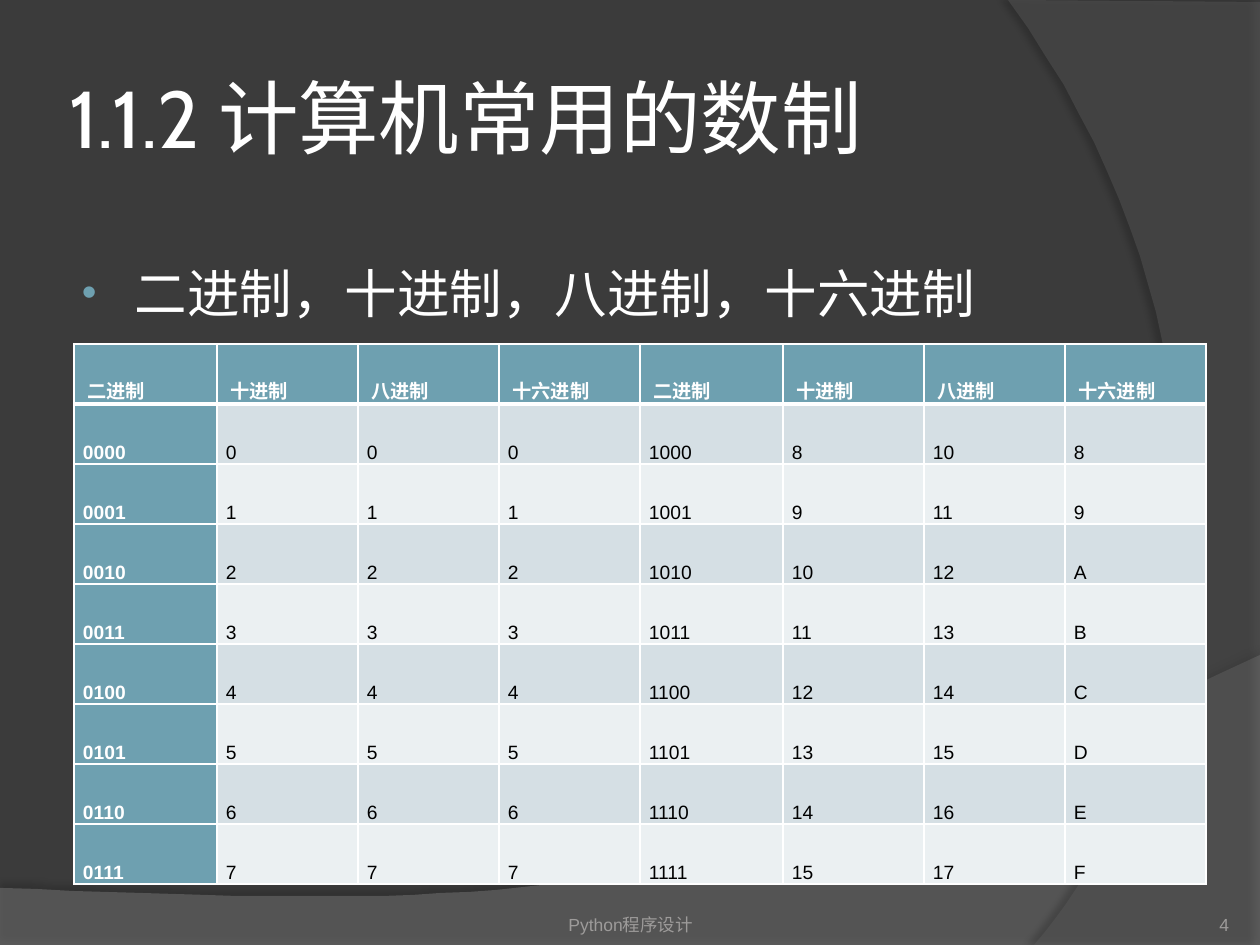
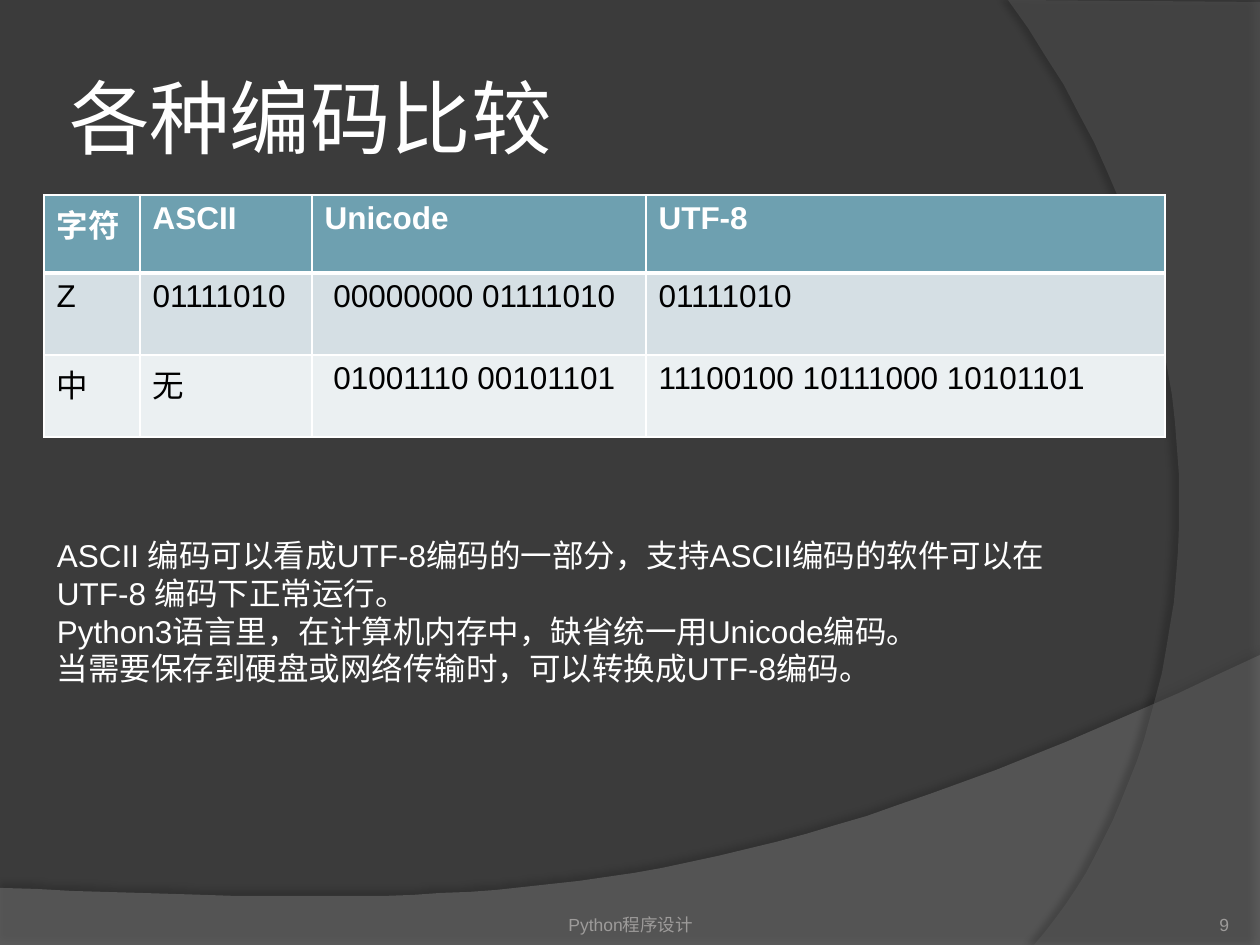
"""Build two slides on number systems and character encodings."""
import pptx
import pptx.dml.color
import pptx.enum.text
import pptx.oxml
import pptx.oxml.ns
import pptx.util

EMU_PER_PX = 914400 / 126
COLORS = {
    "background": "3B3B3B", "lower band": "7F7F7F", "side band": "5E5E5E",
    "shadow": "000000", "white": "FFFFFF", "black": "000000",
    "accent": "6EA0B0", "odd row": "D5DFE4", "even row": "EBF0F2",
    "footer": "9D9B9A",
}
ALIGN = pptx.enum.text.PP_ALIGN
ANCHOR = pptx.enum.text.MSO_ANCHOR
NAMESPACE = pptx.oxml.ns.nsdecls("a")


def emu(px):
    """Turn pixels into EMU."""
    return pptx.util.Emu(round(px * EMU_PER_PX))


def rgb(name):
    """Look up a named colour."""
    return pptx.dml.color.RGBColor.from_string(COLORS[name])


def add_xml(parent, xml):
    """Append a fragment of drawing XML to an element."""
    parent.append(pptx.oxml.parse_xml(xml))


def place(shape, left, top, width, height):
    """Move and size a shape."""
    shape.left, shape.top = emu(left), emu(top)
    shape.width, shape.height = emu(width), emu(height)


def set_margins(target, left, top, right, bottom):
    """Set the inner margins of a text frame or table cell."""
    target.margin_left, target.margin_top = emu(left), emu(top)
    target.margin_right, target.margin_bottom = emu(right), emu(bottom)


def format_text(frame, size, color, font="Arial", bold=False, align=ALIGN.LEFT):
    """Format every run of a text frame."""
    for para in frame.paragraphs:
        para.alignment = align
        for span in para.runs:
            span.font.size = pptx.util.Pt(size)
            span.font.name = font
            span.font.bold = bold
            span.font.color.rgb = rgb(color)


def curve(start, first, second, end, steps=40):
    """Return points along a cubic curve, leaving out its start."""
    points = []
    for step in range(1, steps + 1):
        t = step / steps
        weights = ((1 - t) ** 3, 3 * t * (1 - t) ** 2, 3 * t * t * (1 - t), t ** 3)
        points.append(tuple(
            sum(weight * value for weight, value in zip(weights, axis))
            for axis in zip(start, first, second, end)))
    return points


def add_band(page, points, color, opacity, shadow):
    """Draw a translucent shadowed band behind the title."""
    builder = page.shapes.build_freeform(*points[0], scale=EMU_PER_PX)
    builder.add_line_segments(points[1:], close=True)
    band = builder.convert_to_shape()
    band.fill.solid()
    band.fill.fore_color.rgb = rgb(color)
    add_xml(band.fill.fore_color._xFill.srgbClr,
            f'<a:alpha {NAMESPACE} val="{opacity * 1000}"/>')
    band.line.fill.background()
    distance, direction, strength = shadow
    add_xml(band.element.spPr, f'''<a:effectLst {NAMESPACE}>
        <a:outerShdw blurRad="{pptx.util.Pt(4)}" dist="{pptx.util.Pt(distance)}"
            dir="{direction * 60000}" algn="ctr" rotWithShape="0">
        <a:srgbClr val="{COLORS['shadow']}"><a:alpha val="{strength * 1000}"/>
        </a:srgbClr></a:outerShdw></a:effectLst>''')
    page.shapes.title.element.addprevious(band.element)


def add_text(page, text, frame_px, size, color, margins=(13, 6, 13, 6),
             anchor=ANCHOR.TOP, align=ALIGN.LEFT):
    """Add a wrapping text box and return its frame."""
    box = page.shapes.add_textbox(*map(emu, frame_px))
    frame = box.text_frame
    frame.word_wrap = True
    frame.vertical_anchor = anchor
    set_margins(frame, *margins)
    frame.text = text
    format_text(frame, size, color, align=align)
    return frame


def add_bullet(page, text, frame_px):
    """Add a large bulleted line."""
    para = add_text(page, text, frame_px, 30, "white").paragraphs[0]
    para.space_before = pptx.util.Pt(6)
    properties = para._p.get_or_add_pPr()
    properties.set("marL", str(emu(58)))
    properties.set("indent", str(emu(-53)))
    for bullet in (
            f'<a:buClr {NAMESPACE}><a:srgbClr val="{COLORS["accent"]}"/></a:buClr>',
            f'<a:buSzPct {NAMESPACE} val="80000"/>',
            f'<a:buFont {NAMESPACE} typeface="Arial"/>',
            f'<a:buChar {NAMESPACE} char="•"/>'):
        add_xml(properties, bullet)


def add_borders(cell, row):
    """Draw white cell borders, thicker under the header row."""
    widths = {"L": 1, "R": 1, "T": 3 if row == 1 else 1, "B": 3 if row == 0 else 1}
    for side, width in widths.items():
        add_xml(cell._tc.get_or_add_tcPr(), f'''<a:ln{side} {NAMESPACE}
            w="{pptx.util.Pt(width)}"><a:solidFill>
            <a:srgbClr val="{COLORS['white']}"/></a:solidFill></a:ln{side}>''')


def add_grid(page, rows, left, top, widths, heights, size,
             header_column=False, compact=False):
    """Add a table with a header row and alternating row fills."""
    shape = page.shapes.add_table(
        len(rows), len(widths), emu(left), emu(top), emu(sum(widths)), emu(sum(heights)))
    table = shape.table
    table.first_col = header_column
    for column, width in zip(table.columns, widths):
        column.width = emu(width)
    for row, (values, height) in enumerate(zip(rows, heights)):
        table.rows[row].height = emu(height)
        for column, value in enumerate(values):
            cell = table.cell(row, column)
            header = row == 0 or (header_column and column == 0)
            cell.text = value
            format_text(cell.text_frame, size, "white" if header else "black", bold=header)
            add_borders(cell, row)
            cell.fill.solid()
            cell.fill.fore_color.rgb = rgb(
                "accent" if header else "odd row" if row % 2 else "even row")
            if compact:
                cell.vertical_anchor = ANCHOR.BOTTOM
                set_margins(cell, 9, 0, 9, 0)
                para = cell.text_frame.paragraphs[0]
                para.line_spacing = 1.07
                para.space_after = pptx.util.Pt(8)


def add_page(deck, title, number):
    """Add a slide with the shared bands, title and footer."""
    page = deck.slides.add_slide(deck.slide_layouts[5])
    lower_edge = curve((1260, 655), (704, 919), (493, 906), (0, 888))
    add_band(page, [(0, 888), (0, 946), (1260, 946), (1260, 655)] + lower_edge,
             "lower band", 45, (3.5, 270, 35))
    side_edge = curve((1034, 945), (1178, 780), (1283, 378), (1008, 0))
    add_band(page, [(1260, 2), (1260, 945), (1034, 945)] + side_edge,
             "side band", 40, (4, 180, 45))
    heading = page.shapes.title
    place(heading, 63, 38, 1029, 157)
    frame = heading.text_frame
    frame.text = title
    frame.vertical_anchor = ANCHOR.MIDDLE
    set_margins(frame, 6, 6, 6, 6)
    format_text(frame, 46, "white", font="Cabin")
    add_text(page, "Python程序设计", (431, 885, 399, 50), 10, "footer",
             (0, 6, 0, 0), ANCHOR.BOTTOM, ALIGN.CENTER)
    add_text(page, str(number), (1124, 885, 105, 50), 10, "footer",
             (0, 0, 0, 0), ANCHOR.BOTTOM, ALIGN.RIGHT)
    return page


def number_rows():
    """List 0 to 15 in four number systems, two values a row."""
    rows = [[" 二进制", " 十进制", " 八进制", " 十六进制"] * 2]
    for low in range(8):
        rows.append([format(value, code) for value in (low, low + 8)
                     for code in ("04b", "d", "o", "X")])
    return rows


def main():
    """Build and save the deck."""
    deck = pptx.Presentation()
    deck.slide_width, deck.slide_height = emu(1260), emu(945)
    background = deck.slide_master.background.fill
    background.solid()
    background.fore_color.rgb = rgb("background")

    page = add_page(deck, "1.1.2 计算机常用的数制", 4)
    add_bullet(page, "二进制，十进制，八进制，十六进制", (64, 255, 1160, 639))
    add_grid(page, number_rows(), 74, 344, [143, 141, 141, 141] * 2, [60] * 9, 11,
             header_column=True, compact=True)

    page = add_page(deck, "各种编码比较", 9)
    encodings = [
        ["字符", "ASCII", "Unicode", "UTF-8"],
        ["Z", "01111010", " 00000000 01111010", "01111010"],
        ["中", "无", " 01001110 00101101", "11100100 10111000 10101101"],
    ]
    add_grid(page, encodings, 44, 195, [96, 172, 334, 519], [78, 82, 82], 18)
    notes = [
        "ASCII 编码可以看成UTF-8编码的一部分，支持ASCII编码的软件可以在UTF-8 编码下正常运行。",
        "Python3语言里，在计算机内存中，缺省统一用Unicode编码。",
        "当需要保存到硬盘或网络传输时，可以转换成UTF-8编码。",
    ]
    add_text(page, "\n".join(notes), (44, 530, 1074, 165), 18, "white")
    deck.save("out.pptx")


if __name__ == "__main__":
    main()
